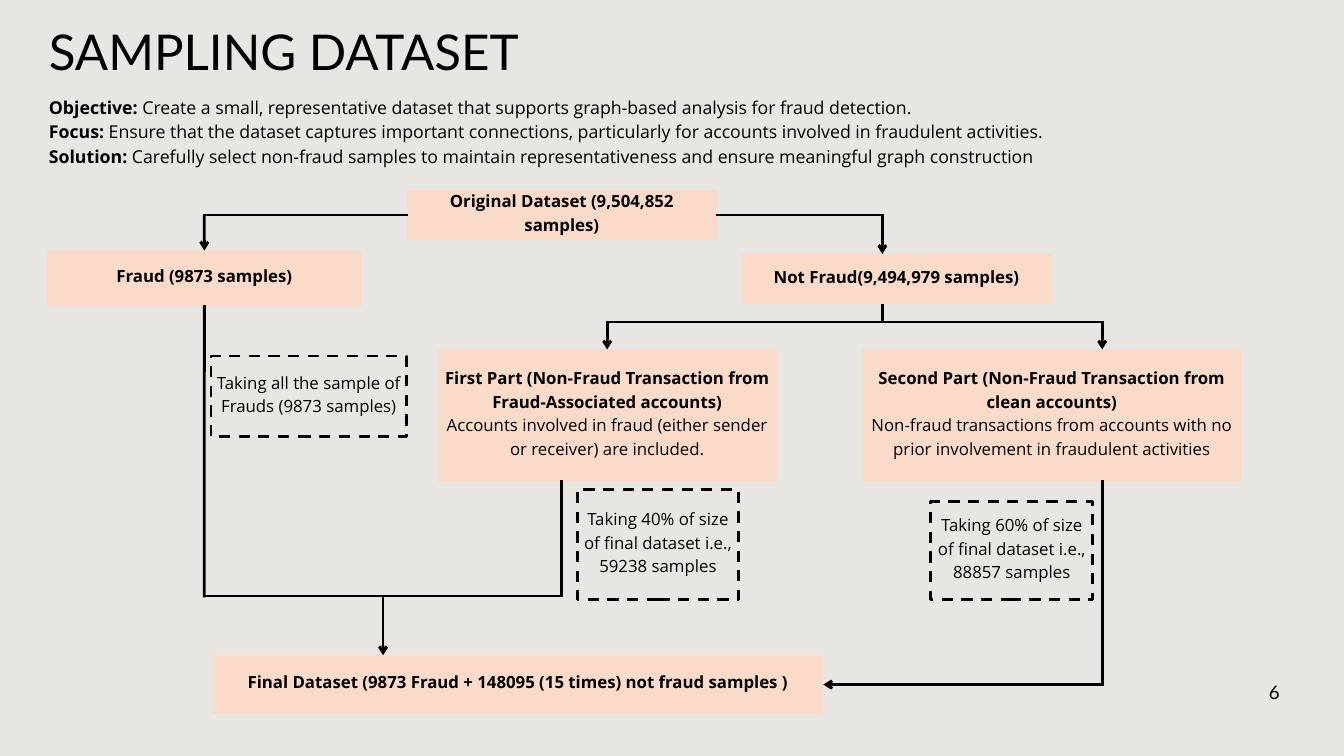
from lxml.etree import SubElement
from pptx import Presentation
from pptx.dml.color import RGBColor
from pptx.enum.dml import MSO_LINE
from pptx.enum.shapes import MSO_CONNECTOR as Connector, MSO_SHAPE as Shape
from pptx.enum.text import MSO_ANCHOR as Anchor, PP_ALIGN as Align
from pptx.oxml.ns import qn
from pptx.util import Cm, Pt

PAPER, PEACH, BLACK = "E8E6E2", "FADBCA", "000000"
HEAD_FONT, BODY_FONT = "Lato", "Open Sans"
TOP, LEFT, BOTTOM, RIGHT = range(4)  # connection sites of a rectangle


def color(value):
    return RGBColor.from_string(value)


def write(frame, paras, size, spacing, font=BODY_FONT, align=Align.LEFT):
    """Fill a frame; each paragraph is a list of (text, bold) spans."""
    for index, spans in enumerate(paras):
        para = frame.add_paragraph() if index else frame.paragraphs[0]
        para.alignment = align
        para.line_spacing = Pt(spacing)
        for text, bold in spans:
            span = para.add_run()
            span.text = text
            span.font.name = font
            span.font.size = Pt(size)
            span.font.bold = bold
            span.font.color.rgb = color(BLACK)


def set_margins(frame, left, top, right, bottom):
    frame.margin_left, frame.margin_top = Cm(left), Cm(top)
    frame.margin_right, frame.margin_bottom = Cm(right), Cm(bottom)


def add_text(page, box, paras, size, spacing, **style):
    frame = page.shapes.add_textbox(*map(Cm, box)).text_frame
    frame.word_wrap = True
    set_margins(frame, 0, 0, 0, 0)
    write(frame, paras, size, spacing, **style)


def add_box(page, box, paras, dashed=False):
    """Peach step, or dashed note, with centred text."""
    shape = page.shapes.add_shape(Shape.RECTANGLE, *map(Cm, box))
    shape.shadow.inherit = False
    shape.fill.solid()
    shape.fill.fore_color.rgb = color(PAPER if dashed else PEACH)
    if dashed:
        shape.line.color.rgb = color(BLACK)
        shape.line.width = Pt(3)
        shape.line.dash_style = MSO_LINE.DASH
    else:
        shape.line.fill.background()
    frame = shape.text_frame
    frame.word_wrap = True
    frame.vertical_anchor = Anchor.MIDDLE
    set_margins(frame, 0.15, 0.15, 0.15, 0.45)  # text sits a little high
    write(frame, paras, 18, 25.2, align=Align.CENTER)
    return shape


def add_line(page, start, end, arrow=False, begin=None, finish=None):
    """Straight line; begin and finish are optional (shape, site) joints."""
    line = page.shapes.add_connector(
        Connector.STRAIGHT, *map(Cm, (*start, *end)))
    line.line.color.rgb = color(BLACK)
    line.line.width = Pt(3)
    outline = line.get_or_add_ln()
    if arrow:
        SubElement(outline, qn("a:tailEnd"), type="arrow")
    else:
        outline.set("cap", "sq")  # closes the corners
    SubElement(line._element.spPr, qn("a:effectLst"))
    if begin:
        line.begin_connect(*begin)
    if finish:
        line.end_connect(*finish)


def add_header(page, box):
    left, top, width, height = box
    add_text(page, (left, top, width, 2.13), [[("SAMPLING DATASET", False)]],
             52.8, 60.8, font=HEAD_FONT)
    goals = [
        ("Objective:", " Create a small, representative dataset that supports "
         "graph-based analysis for fraud detection."),
        ("Focus:", " Ensure that the dataset captures important connections, "
         "particularly for accounts involved in fraudulent activities."),
        ("Solution: ", "Carefully select non-fraud samples to maintain "
         "representativeness and ensure meaningful graph construction"),
    ]
    add_text(page, (left, top + 2.62, width, height - 2.62),
             [[(label, True), (text, False)] for label, text in goals], 19, 26.6)


def add_flowchart(page, box):
    left, top = box[:2]

    def at(x, y):
        return left + x, top + y

    def step(x, y, width, height, title, detail=None):
        paras = [[(title, True)]] + ([[(detail, False)]] if detail else [])
        return add_box(page, (*at(x, y), width, height), paras)

    def note(x, y, width, height, text):
        add_box(page, (*at(x, y), width, height), [[(text, False)]], dashed=True)

    def link(start, end, **options):
        add_line(page, at(*start), at(*end), **options)

    # Steps
    original = step(13.58, 0, 11.75, 1.88, "Original Dataset (9,504,852 samples)")
    fraud = step(0, 2.28, 11.89, 2.12, "Fraud (9873 samples)")
    step(26.23, 2.41, 11.75, 1.88, "Not Fraud(9,494,979 samples)")
    first = step(14.76, 6.02, 12.82, 5,
                 "First Part (Non-Fraud Transaction from Fraud-Associated accounts)",
                 "Accounts involved in fraud (either sender or receiver) are included.")
    step(30.81, 6.02, 14.33, 5,
         "Second Part (Non-Fraud Transaction from clean accounts)",
         "Non-fraud transactions from accounts with no prior involvement "
         "in fraudulent activities")
    final = step(6.25, 17.58, 23.09, 2.22,
                 "Final Dataset (9873 Fraud + 148095 (15 times) not fraud samples )")

    # Sampling notes
    note(6.2, 6.27, 7.38, 3.05, "Taking all the sample of Frauds (9873 samples)")
    note(20.04, 11.33, 6.1, 4.14,
         "Taking 40% of size of final dataset i.e., 59238 samples")
    note(33.4, 11.78, 6.13, 3.69,
         "Taking 60% of size of final dataset i.e., 88857 samples")

    # Columns and rows the lines run along
    fraud_x, clean_x, first_x, second_x = 5.94, 31.57, 21.17, 39.88
    exit_x, final_x = 19.45, 12.7
    split_y, branch_y, merge_y, final_y = 0.94, 4.98, 15.34, 18.69
    part_top, part_bottom = 6.02, 11.02

    # Original dataset to fraud and not fraud
    link((13.58, split_y), (fraud_x, split_y), begin=(original, LEFT))
    link((fraud_x, split_y), (fraud_x, 2.28), arrow=True, finish=(fraud, TOP))
    link((25.33, split_y), (clean_x, split_y), begin=(original, RIGHT))
    link((clean_x, split_y), (clean_x, 2.41), arrow=True)

    # Not fraud to its two parts
    link((clean_x, 4.34), (clean_x, branch_y))
    link((first_x, branch_y), (second_x, branch_y))
    link((first_x, branch_y), (first_x, part_top), arrow=True, finish=(first, TOP))
    link((second_x, branch_y), (second_x, part_top), arrow=True)

    # Fraud and the first part merge into the final dataset
    link((fraud_x, 4.4), (fraud_x, merge_y), begin=(fraud, BOTTOM))
    link((exit_x, part_bottom), (exit_x, merge_y))
    link((fraud_x, merge_y), (exit_x, merge_y))
    link((final_x, merge_y), (final_x, 17.58), arrow=True)

    # Second part to the final dataset
    link((second_x, part_bottom), (second_x, final_y))
    link((second_x, final_y), (29.34, final_y), arrow=True, finish=(final, RIGHT))


def add_page_number(page, box):
    add_text(page, box, [[("6", False)]], 20, 28,
             font=HEAD_FONT, align=Align.CENTER)


def main():
    deck = Presentation()
    deck.slide_width, deck.slide_height = Cm(50.8), Cm(28.58)
    page = deck.slides.add_slide(deck.slide_layouts[6])
    page.background.fill.solid()
    page.background.fill.fore_color.rgb = color(PAPER)
    add_header(page, (1.85, 0.89, 37.72, 6.3))
    add_flowchart(page, (1.78, 7.19, 45.14, 19.8))
    add_page_number(page, (47.67, 25.58, 1, 0.99))
    deck.save("out.pptx")


if __name__ == "__main__":
    main()
